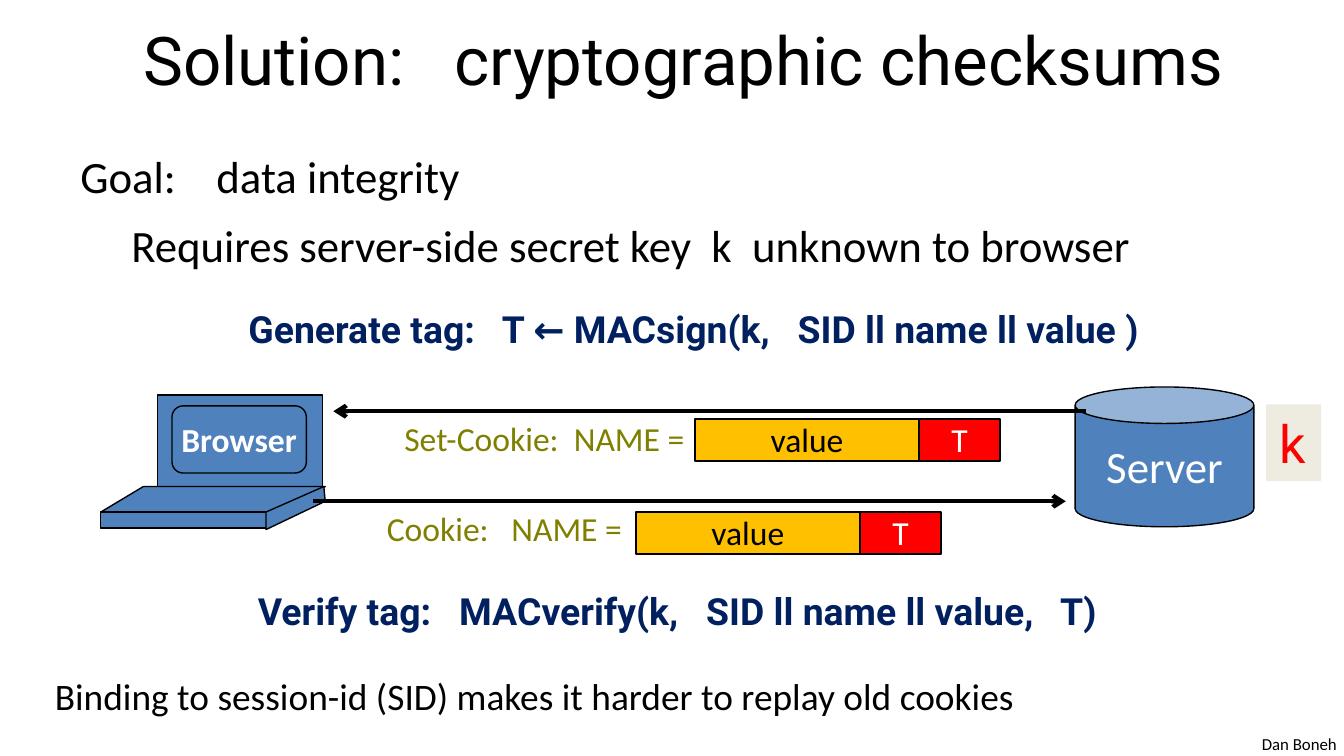
from lxml.etree import SubElement
from pptx import Presentation
from pptx.dml.color import RGBColor
from pptx.enum.shapes import MSO_CONNECTOR, MSO_SHAPE
from pptx.enum.text import MSO_ANCHOR, MSO_AUTO_SIZE, PP_ALIGN
from pptx.oxml.ns import qn
from pptx.util import Inches, Pt

BLACK = RGBColor(0, 0, 0)
WHITE = RGBColor(255, 255, 255)
BLUE = RGBColor(0x4F, 0x81, 0xBD)
NAVY = RGBColor(0x00, 0x20, 0x60)
OLIVE = RGBColor(0x80, 0x80, 0x00)
AMBER = RGBColor(0xFF, 0xC0, 0x00)
RED = RGBColor(0xFF, 0, 0)
CREAM = RGBColor(0xEE, 0xEC, 0xE1)

TITLE = "Solution:   cryptographic checksums"
GOAL = ["Goal:    data integrity",
        "Requires server-side secret key  k  unknown to browser"]
GOAL_INDENT = 0.38

# text, (left, top, width, height), size, font, colour, bold, left indent
LABELS = [
    ("Dan Boneh", (9.29, 5.41, 0.76, 0.25), 9, "Calibri", BLACK, False, 0),
    ("Binding to session-id (SID) makes it harder to replay old cookies",
     (0.25, 4.96, 7.49, 0.44), 20, "Calibri", BLACK, False, 0.06),
    ("Generate tag:   T ← MACsign(k,   SID ll name ll value )",
     (1.75, 2.23, 7.79, 0.44), 20, "Roboto", NAVY, True, 0),
    ("Verify tag:   MACverify(k,   SID ll name ll value,   T)",
     (1.75, 4.33, 7.44, 0.44), 20, "Roboto", NAVY, True, 0.07),
]

# label, label left, label width, line y, line start x, line end x, cookie left, cookie top
MESSAGES = [
    ("Set-Cookie:  NAME =", 2.91, 2.32, 3.06, 8.08, 2.48, 5.17, 3.12),
    ("Cookie:   NAME =", 2.78, 1.97, 3.73, 2.33, 7.93, 4.73, 3.81),
]
COOKIE_PARTS = [("value", 1.67, AMBER, BLACK), ("T", 0.6, RED, WHITE)]
COOKIE_HEIGHT = 0.31

# preset, (left, top, width, height), adjustment
LAPTOP = [
    (MSO_SHAPE.RECTANGLE, (1.17, 2.94, 1.23, 0.69), None),
    (MSO_SHAPE.ROUNDED_RECTANGLE, (1.28, 3.02, 1, 0.5), 0.167),
    (MSO_SHAPE.PARALLELOGRAM, (0.75, 3.62, 1.67, 0.19), 1.667),
    (MSO_SHAPE.RECTANGLE, (0.75, 3.81, 1.25, 0.12), None),
]
LAPTOP_SIDE = [(1.98, 3.94), (2.42, 3.73), (2.41, 3.62), (1.98, 3.81)]


def style_para(para, size, color, font="Calibri", bold=False, indent=0):
    para.font.size = Pt(size)
    para.font.name = font
    para.font.bold = bold
    para.font.color.rgb = color
    if indent:
        properties = para._p.get_or_add_pPr()
        properties.set("marL", str(Inches(indent)))
        properties.set("indent", "0")


def add_label(page, text, place, size, font, color, bold=False, indent=0):
    box = page.shapes.add_textbox(*map(Inches, place))
    frame = box.text_frame
    frame.word_wrap = False
    frame.auto_size = MSO_AUTO_SIZE.SHAPE_TO_FIT_TEXT
    frame.text = text
    style_para(frame.paragraphs[0], size, color, font, bold, indent)
    return box


def paint(shape, fill, line_width=0.75):
    shape.shadow.inherit = False
    shape.fill.solid()
    shape.fill.fore_color.rgb = fill
    shape.line.color.rgb = BLACK
    shape.line.width = Pt(line_width)


def add_block(page, preset, place, fill, adjustment=None, line_width=0.75):
    shape = page.shapes.add_shape(preset, *map(Inches, place))
    if adjustment is not None:
        shape.adjustments[0] = adjustment
    paint(shape, fill, line_width)
    return shape


def write_centred(shape, text, size, color, bold=False, anchor=MSO_ANCHOR.MIDDLE):
    frame = shape.text_frame
    frame.word_wrap = False
    frame.vertical_anchor = anchor
    frame.text = text
    frame.paragraphs[0].alignment = PP_ALIGN.CENTER
    style_para(frame.paragraphs[0], size, color, bold=bold)


def add_arrow(page, start, end, y):
    arrow = page.shapes.add_connector(
        MSO_CONNECTOR.STRAIGHT, Inches(start), Inches(y), Inches(end), Inches(y))
    arrow.line.color.rgb = BLACK
    arrow.line.width = Pt(2.25)
    SubElement(arrow.line._get_or_add_ln(), qn("a:tailEnd"), type="arrow")
    SubElement(arrow._element.spPr, qn("a:effectLst"))


def add_message(page, label, label_left, label_width, y, start, end, left, top):
    add_label(page, label, (label_left, y, label_width, 0.4), 18, "Calibri", OLIVE)
    add_arrow(page, start, end, y)
    for text, width, fill, color in COOKIE_PARTS:
        part = add_block(page, MSO_SHAPE.RECTANGLE,
                         (left, top, width, COOKIE_HEIGHT), fill, line_width=1)
        part.text_frame.margin_top = part.text_frame.margin_bottom = 0
        write_centred(part, text, 18, color, anchor=MSO_ANCHOR.TOP)
        left += width


def main():
    deck = Presentation()
    deck.slide_width = Inches(10)
    deck.slide_height = deck.slide_width * 9 // 16
    page = deck.slides.add_slide(deck.slide_layouts[6])

    title = page.shapes.add_textbox(*map(Inches, (0.67, 0.06, 8.83, 0.75))).text_frame
    title.word_wrap = True
    title.vertical_anchor = MSO_ANCHOR.MIDDLE
    title.text = TITLE
    title.paragraphs[0].alignment = PP_ALIGN.CENTER
    style_para(title.paragraphs[0], 36, BLACK, "Roboto")

    goal = add_label(page, GOAL[0], (0.5, 1.06, 8.14, 1.02), 24, "Calibri", BLACK)
    para = goal.text_frame.add_paragraph()
    para.text = GOAL[1]
    para.space_before = Pt(8)
    style_para(para, 24, BLACK, indent=GOAL_INDENT)

    for preset, place, adjustment in LAPTOP:
        part = add_block(page, preset, place, BLUE, adjustment)
        if preset == MSO_SHAPE.ROUNDED_RECTANGLE:
            write_centred(part, "Browser", 18, WHITE, bold=True)
    corners = [(Inches(x), Inches(y)) for x, y in LAPTOP_SIDE]
    outline = page.shapes.build_freeform(*corners[0])
    outline.add_line_segments(corners[1:], close=True)
    paint(outline.convert_to_shape(), BLUE)

    server = add_block(page, MSO_SHAPE.CAN, (8, 2.88, 1.33, 1.04), BLUE, 0.261)
    write_centred(server, "Server", 24, WHITE)
    key = add_label(page, "k", (9.42, 3.01, 0.41, 0.57), 28, "Roboto", RED)
    key.fill.solid()
    key.fill.fore_color.rgb = CREAM

    for message in MESSAGES:
        add_message(page, *message)
    for label in LABELS:
        add_label(page, *label)

    deck.save("out.pptx")


if __name__ == "__main__":
    main()
